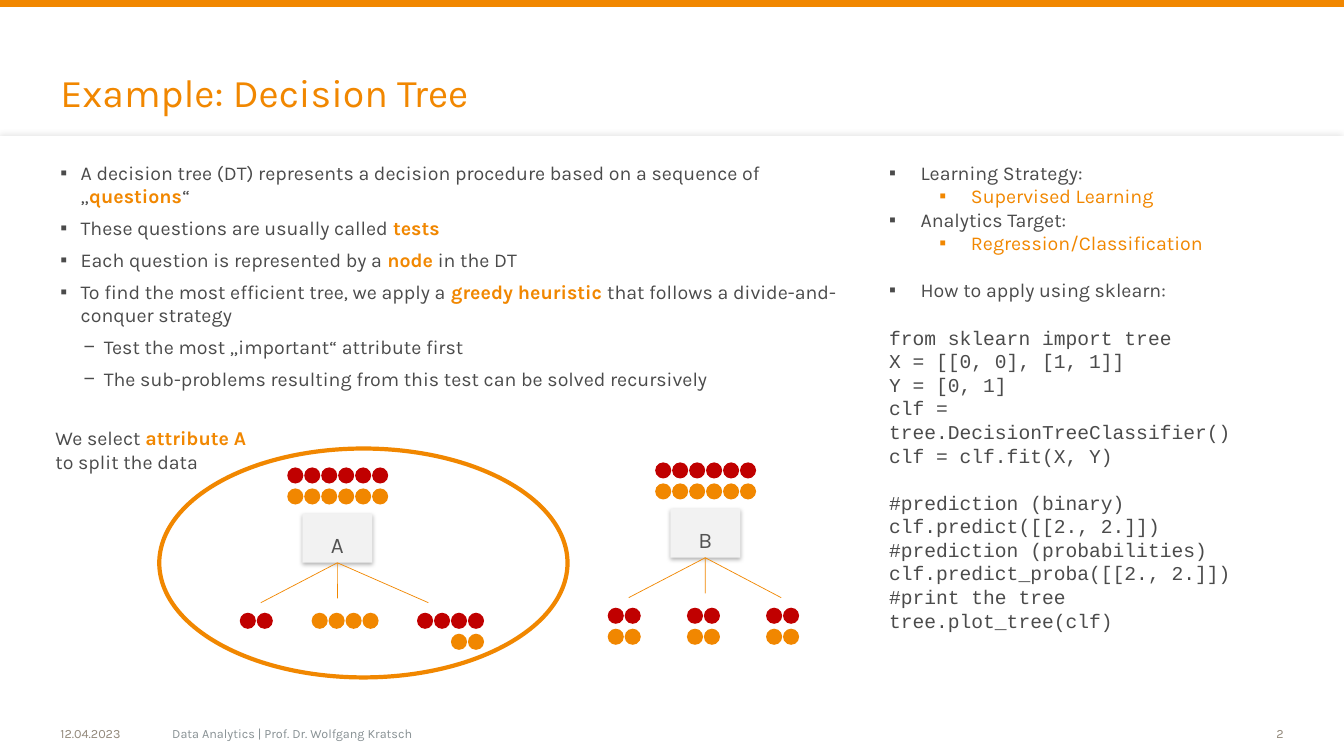
"""Build the decision tree slide on a grid of 160 columns by 90 rows."""
from dataclasses import dataclass

from lxml import etree
from pptx import Presentation
from pptx import util as u
from pptx.dml.color import RGBColor
from pptx.enum import shapes, text
from pptx.oxml.ns import qn


@dataclass(frozen=True)
class Theme:
    accent: str = "F18700"
    red: str = "C00000"
    ink: str = "4B4B4B"
    label: str = "535353"
    box: str = "F2F2F2"
    paper: str = "FFFFFF"
    date: str = "92887A"
    footer: str = "889194"
    font: str = "Karla"
    code: str = "Courier New"
    title_size: int = 28
    box_size: int = 16
    body_size: int = 14
    small_size: int = 9


th = Theme()
prs = Presentation()
prs.slide_width, prs.slide_height = u.Inches(13.333), u.Inches(7.5)
col, row = prs.slide_width / 160, prs.slide_height / 90
s = prs.slides.add_slide(prs.slide_layouts[3])


def draw(kind, x, y, w, h, fill=None, line=None, shadow=None):
    """Add a preset shape; shadow is (opacity %, blur pt, distance pt, angle)."""
    sp = s.shapes.add_shape(kind, int(x * col), int(y * row), int(w * col), int(h * row))
    sp.shadow.inherit = False
    if fill:
        sp.fill.solid()
        sp.fill.fore_color.rgb = RGBColor.from_string(fill)
    else:
        sp.fill.background()
    if line:
        sp.line.color.rgb = RGBColor.from_string(line)
        sp.line.width = u.Pt(3)
    else:
        sp.line.fill.background()
    if shadow:
        alpha, blur, dist, angle = shadow
        effects = sp._element.spPr.find(qn("a:effectLst"))
        outer = etree.SubElement(effects, qn("a:outerShdw"), blurRad=str(u.Pt(blur)),
                                 dist=str(u.Pt(dist)), dir=str(angle * 60000), rotWithShape="0")
        black = etree.SubElement(outer, qn("a:srgbClr"), val="000000")
        etree.SubElement(black, qn("a:alpha"), val=str(alpha * 1000))
    return sp


def write(p, words, size, color, font=th.font):
    """Add runs to a paragraph; words between asterisks are bold in the accent colour."""
    for i, part in enumerate(words.split("*")):
        if part:
            r = p.add_run()
            r.text = part
            r.font.name, r.font.size, r.font.bold = font, u.Pt(size), i % 2 == 1
            r.font.color.rgb = RGBColor.from_string(th.accent if i % 2 else color)


RECT, OVAL = shapes.MSO_SHAPE.RECTANGLE, shapes.MSO_SHAPE.OVAL
panel = draw(RECT, 0, 16.2, 160, 73.8, th.paper, shadow=(10, 4, 1, 270))
bar = draw(RECT, 0, 0, 160, 0.84, th.accent)
for i, sp in enumerate((panel, bar)):
    s.shapes._spTree.insert(2 + i, sp._element)

title, body, method = s.placeholders
for sp, x, y, w, h, anchor in (
    (title, 7.2, 5.4, 105.7, 8.4, text.MSO_ANCHOR.BOTTOM),
    (body, 7.2, 19.1, 94.2, 59, text.MSO_ANCHOR.TOP),
    (method, 105.84, 19.1, 48.8, 59, text.MSO_ANCHOR.TOP),
):
    sp.left, sp.top, sp.width, sp.height = int(x * col), int(y * row), int(w * col), int(h * row)
    tf = sp.text_frame
    tf.word_wrap, tf.auto_size, tf.vertical_anchor = True, text.MSO_AUTO_SIZE.NONE, anchor
    tf.margin_left = tf.margin_top = tf.margin_right = tf.margin_bottom = 0
p = title.text_frame.paragraphs[0]
p.alignment, p.line_spacing = text.PP_ALIGN.LEFT, 0.9
write(p, "Example: Decision Tree", th.title_size, th.accent)

# (level, space before, words); level None is code
points = [
    (0, 6, "A decision tree (DT) represents a decision procedure based on a sequence of „*questions*“"),
    (0, 6, "These questions are usually called *tests*"),
    (0, 6, "Each question is represented by a *node* in the DT"),
    (0, 6, "To find the most efficient tree, we apply a *greedy heuristic *"
           "that follows a divide-and-conquer strategy"),
    (1, 6, "Test the most „important“ attribute first"),
    (1, 6, "The sub-problems resulting from this test can be solved recursively"),
]
steps = [
    (0, 0, "Learning Strategy:"),
    (1, 0, "Supervised Learning"),
    (0, 0, "Analytics Target:"),
    (1, 0, "Regression/Classification"),
    (0, 17, "How to apply using sklearn:"),
    (None, 17, "from sklearn import tree"),
    (None, 0, "X = [[0, 0], [1, 1]]"),
    (None, 0, "Y = [0, 1]"),
    (None, 0, "clf = tree.DecisionTreeClassifier()"),
    (None, 0, "clf = clf.fit(X, Y)"),
    (None, 17, "#prediction (binary)"),
    (None, 0, "clf.predict([[2., 2.]])"),
    (None, 0, "#prediction (probabilities)"),
    (None, 0, "clf.predict_proba([[2., 2.]])"),
    (None, 0, "#print the tree"),
    (None, 0, "tree.plot_tree(clf)"),
]
for sp, lines, bullets, margins, hang, sub_color in (
    (body, points, "▪−", (2.4, 5.16), 2.4, th.ink),
    (method, steps, "▪▪", (3.75, 9.75), 3.75, th.accent),
):
    tf = sp.text_frame
    for i, (level, before, words) in enumerate(lines):
        p = tf.add_paragraph() if i else tf.paragraphs[0]
        p.space_before = u.Pt(before)
        is_code = level is None
        p.level = level or 0
        pPr = p._p.get_or_add_pPr()
        pPr.set("marL", "0" if is_code else str(int(margins[level] * col)))
        pPr.set("indent", "0" if is_code else str(int(-hang * col)))
        if is_code:
            etree.SubElement(pPr, qn("a:buNone"))
        else:
            etree.SubElement(pPr, qn("a:buChar"), char=bullets[level])
        write(p, words, th.body_size, sub_color if level == 1 else th.ink,
              th.code if is_code else th.font)

LEFT, RIGHT = text.PP_ALIGN.LEFT, text.PP_ALIGN.RIGHT
TOP, MIDDLE = text.MSO_ANCHOR.TOP, text.MSO_ANCHOR.MIDDLE
for x, y, w, h, words, size, color, align, anchor in (
    (7.2, 86.4, 10.2, 1.8, "12.04.2023", th.small_size, th.date, LEFT, MIDDLE),
    (20.5, 86.4, 118.9, 1.8, "Data Analytics | Prof. Dr. Wolfgang Kratsch",
     th.small_size, th.footer, LEFT, MIDDLE),
    (148.8, 86.4, 4, 1.8, "2", th.small_size, th.date, RIGHT, MIDDLE),
    (6.6, 50.75, 25.3, 24, "We select *attribute A* to split the data",
     th.body_size, th.ink, LEFT, TOP),
):
    tf = s.shapes.add_textbox(int(x * col), int(y * row), int(w * col), int(h * row)).text_frame
    tf.word_wrap, tf.vertical_anchor = True, anchor
    tf.margin_left = tf.margin_top = tf.margin_right = tf.margin_bottom = 0
    tf.paragraphs[0].alignment = align
    write(tf.paragraphs[0], words, size, color)

DOT, DOT_STEP, DOT_ROW = 1.92, 2.02, 2.5
dot_colors = {"r": th.red, "o": th.accent}
sample = (-1.8, -5.55, ("rrrrrr", "oooooo"))
trees = [
    ("A", 36, 61.2, (-4.95, 4.17, 15),
     [(-7.45, 11.75, ("rr",)), (1.1, 11.75, ("oooo",)), (13.65, 11.75, ("rrrr", "  oo"))]),
    ("B", 79.8, 60.6, (-4.95, 4.17, 13.2),
     [(dx, 11.75, ("rr", "oo")) for dx in (-7.45, 1.98, 11.4)]),
]
for name, x, y, branch_ends, leaves in trees:
    box = draw(RECT, x, y, 8.33, 5.8, th.box, shadow=(30, 3, 1, 90))
    tf = box.text_frame
    tf.vertical_anchor = TOP
    tf.margin_top = int(1.45 * row)
    p = tf.paragraphs[0]
    p.alignment, p.line_spacing = text.PP_ALIGN.CENTER, 1.2
    write(p, name, th.box_size, th.label)
    for dx, dy in zip(branch_ends, (10.55, 10.05, 10.55)):
        branch = s.shapes.add_connector(shapes.MSO_CONNECTOR.STRAIGHT, 0, 0,
                                        int((x + dx) * col), int((y + dy) * row))
        branch.begin_connect(box, 2)
        branch.line.color.rgb = RGBColor.from_string(th.accent)
        branch.line.width = u.Pt(0.5)
        etree.SubElement(branch._element.spPr, qn("a:effectLst"))
    for dx, dy, rows in [sample] + leaves:
        for j, dots in enumerate(rows):
            for i, dot in enumerate(dots):
                if dot in dot_colors:
                    draw(OVAL, x + dx + i * DOT_STEP, y + dy + j * DOT_ROW, DOT, DOT, dot_colors[dot])

draw(OVAL, 18.96, 53.4, 48.6, 27.25, line=th.accent)
prs.save("out.pptx")
